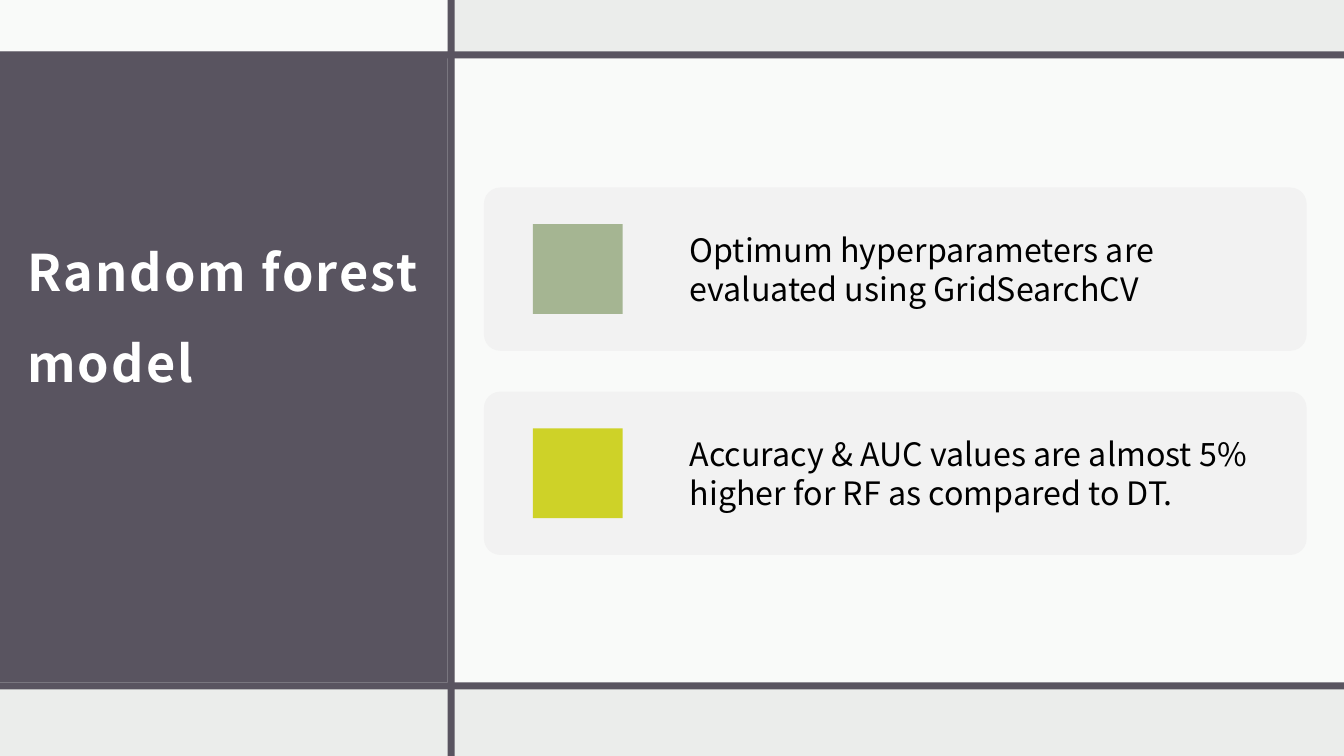
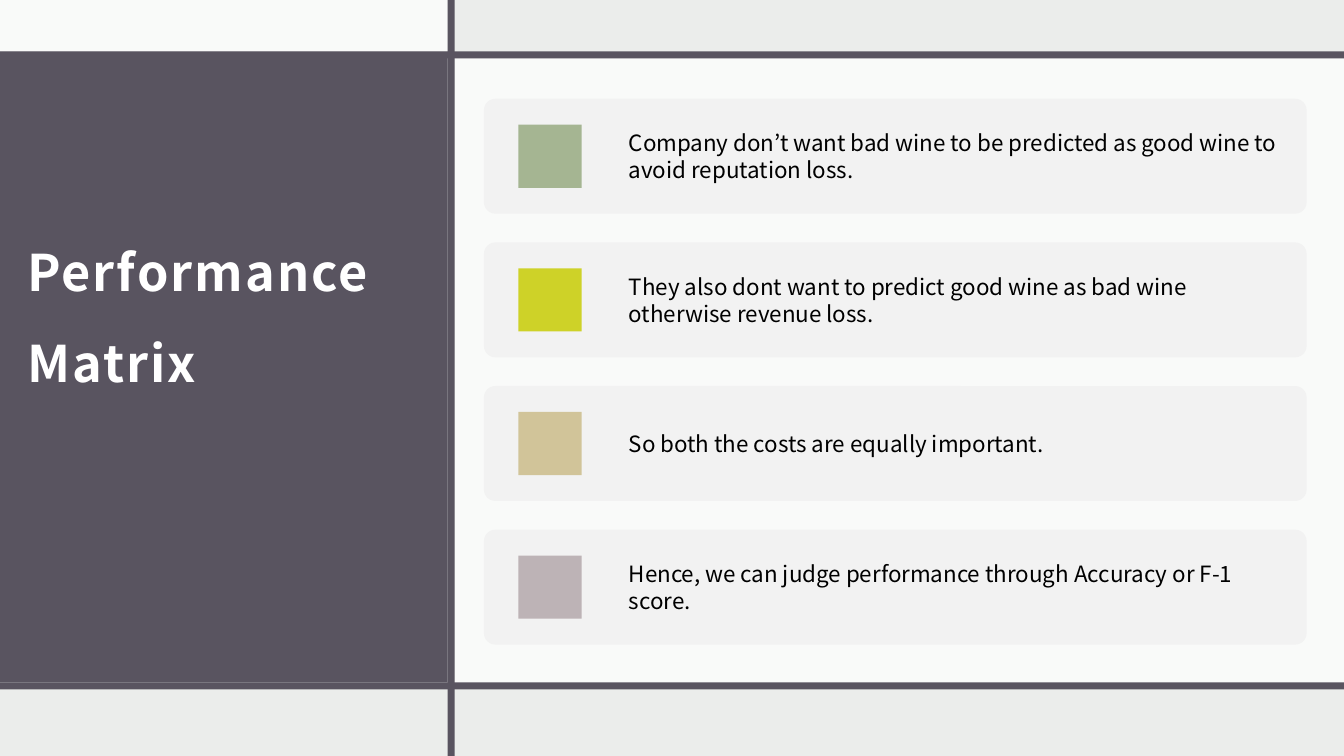
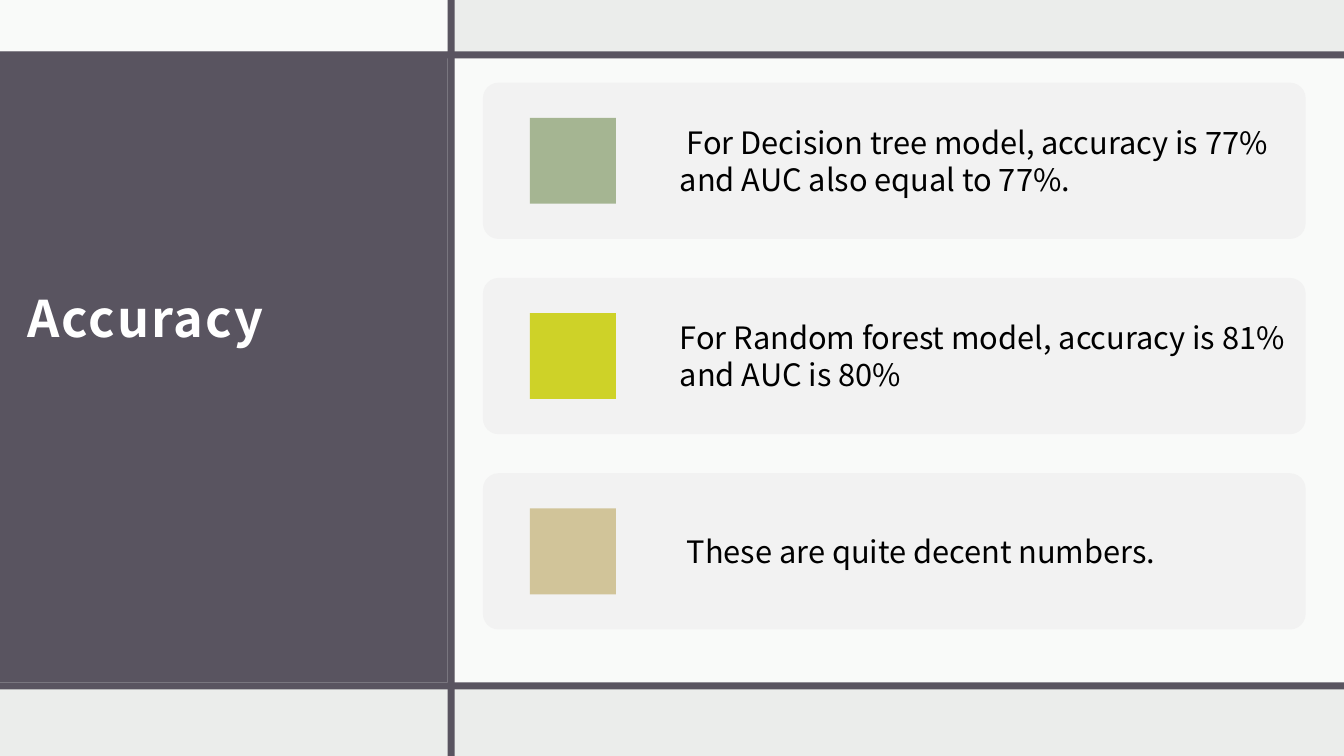
from pptx import Presentation
from pptx.dml.color import RGBColor
from pptx.enum.shapes import MSO_SHAPE as Preset
from pptx.enum.text import MSO_ANCHOR as Anchor, MSO_AUTO_SIZE as AutoSize, PP_ALIGN as Align
from pptx.oxml.ns import qn
from pptx.util import Inches, Pt
from lxml.etree import SubElement

COLORS = {
    "backdrop": "EBEDEB", "plum": "595460", "white": "FFFFFF", "card": "F2F2F2",
    "black": "000000", "sage": "A5B592", "lime": "CED228", "sand": "D1C499", "mauve": "BDB3B6",
}
MARKERS = ["sage", "lime", "sand", "mauve"]
FONT = "Noto Sans CJK JP"
WIDTH, HEIGHT = 13.33, 7.5
PANEL_WIDTH, BAR = 4.44, 0.07
CARD_WIDTH = 8.16

TOPICS = [
    {"title": "Random forest model", "left": 4.8, "top": 1.86, "height": 1.62, "size": 23,
     "items": ["Optimum hyperparameters are evaluated using GridSearchCV",
               "Accuracy & AUC values are almost 5% higher for RF as compared to DT."]},
    {"title": "Performance Matrix", "left": 4.8, "top": 0.98, "height": 1.14, "size": 16,
     "items": ["Company don’t want bad wine to be predicted as good wine to avoid reputation loss.",
               "They\u00a0also dont want to predict good wine as\u00a0bad wine otherwise\u00a0revenue loss.",
               "So both the costs are\u00a0equally important.",
               "Hence, we can judge performance through\u00a0Accuracy or F-1 score."]},
    {"title": "Accuracy", "left": 4.79, "top": 0.82, "height": 1.55, "size": 22,
     "items": ["\u00a0For Decision tree model, accuracy is 77% and AUC also equal to 77%.",
               "For Random forest model, accuracy is\u00a081% and AUC is 80%",
               "\u00a0These\u00a0are quite decent numbers."]},
]


def set_all(target, values):
    """Set each named attribute of the target."""
    for name, value in values.items():
        setattr(target, name, value)


def add_block(shapes, at, color, preset=Preset.RECTANGLE, opacity=100):
    """Add a borderless filled shape."""
    block = shapes.add_shape(preset, *map(Inches, at))
    block.shadow.inherit = False
    block.line.fill.background()
    block.fill.solid()
    block.fill.fore_color.rgb = RGBColor.from_string(COLORS[color])
    if opacity < 100:
        tint = block.element.spPr.find(qn("a:solidFill"))[0]
        SubElement(tint, qn("a:alpha"), val=str(opacity * 1000))
    return block


def write_text(box, text, insets, font, spacing):
    """Write one left-aligned, vertically centred paragraph."""
    frame = box.text_frame
    set_all(frame, {"word_wrap": True, "auto_size": AutoSize.NONE,
                    "vertical_anchor": Anchor.MIDDLE})
    sides = ("margin_left", "margin_top", "margin_right", "margin_bottom")
    set_all(frame, dict(zip(sides, map(Inches, insets))))
    para = frame.paragraphs[0]
    set_all(para, {"alignment": Align.LEFT, **spacing})
    span = para.add_run()
    span.text = text
    color = font.pop("color")
    set_all(span.font, {"name": FONT, **font})
    span.font.color.rgb = RGBColor.from_string(COLORS[color])
    return span


def add_frame(page):
    """Draw the title panel, pale areas and dark bars of every page."""
    page.background.fill.solid()
    page.background.fill.fore_color.rgb = RGBColor.from_string(COLORS["backdrop"])
    add_block(page.shapes, (0, 0.51, PANEL_WIDTH, 6.26), "plum")
    pale_areas = [(0, -0.01, PANEL_WIDTH, 0.56),
                  (PANEL_WIDTH + BAR, 0.58, WIDTH - PANEL_WIDTH - BAR, 6.22)]
    for area in pale_areas:
        add_block(page.shapes, area, "white", opacity=75)
    bars = [(0, 6.77, WIDTH, BAR), (PANEL_WIDTH, 0, BAR, HEIGHT), (0, 0.51, WIDTH, BAR)]
    for bar in bars:
        add_block(page.shapes, bar, "plum")


def add_title(page, text):
    """Place the title placeholder on top of the dark panel."""
    title = page.shapes.title
    title.element.getparent().append(title.element)
    places = ("left", "top", "width", "height")
    set_all(title, dict(zip(places, map(Inches, (0.15, 0.11, 4.23, 5.75)))))
    span = write_text(title, text, (0.12, 0.12, 0.12, 0.1),
                      {"size": Pt(36), "bold": True, "color": "white"},
                      {"line_spacing": 1.5, "space_after": Pt(6)})
    span.font._element.set("spc", "150")


def add_card(shapes, left, top, height, size, marker, text):
    """Add a rounded card whose parts scale with its height."""
    card = add_block(shapes, (left, top, CARD_WIDTH, height), "card", Preset.ROUNDED_RECTANGLE)
    card.adjustments[0] = 0.1
    side = 0.55 * height
    add_block(shapes, (left + 0.3 * height, top + (height - side) / 2, side, side), marker)
    indent = 1.15 * height
    box = shapes.add_textbox(*map(Inches, (left + indent, top, CARD_WIDTH - indent, height)))
    write_text(box, text, [0.11 * height] * 4, {"size": Pt(size), "color": "black"},
               {"space_after": Pt(0.35 * size)})


def add_cards(page, topic):
    """Stack one card per item, with gaps of a quarter card."""
    shapes = page.shapes.add_group_shape().shapes
    height = topic["height"]
    for index, (marker, text) in enumerate(zip(MARKERS, topic["items"])):
        top = topic["top"] + index * 1.25 * height
        add_card(shapes, topic["left"], top, height, topic["size"], marker, text)


def main():
    """Build and save the deck."""
    deck = Presentation()
    set_all(deck, {"slide_width": Inches(WIDTH), "slide_height": Inches(HEIGHT)})
    title_only = deck.slide_layouts.get_by_name("Title Only")
    for topic in TOPICS:
        page = deck.slides.add_slide(title_only)
        add_frame(page)
        add_title(page, topic["title"])
        add_cards(page, topic)
    deck.save("out.pptx")


main()
